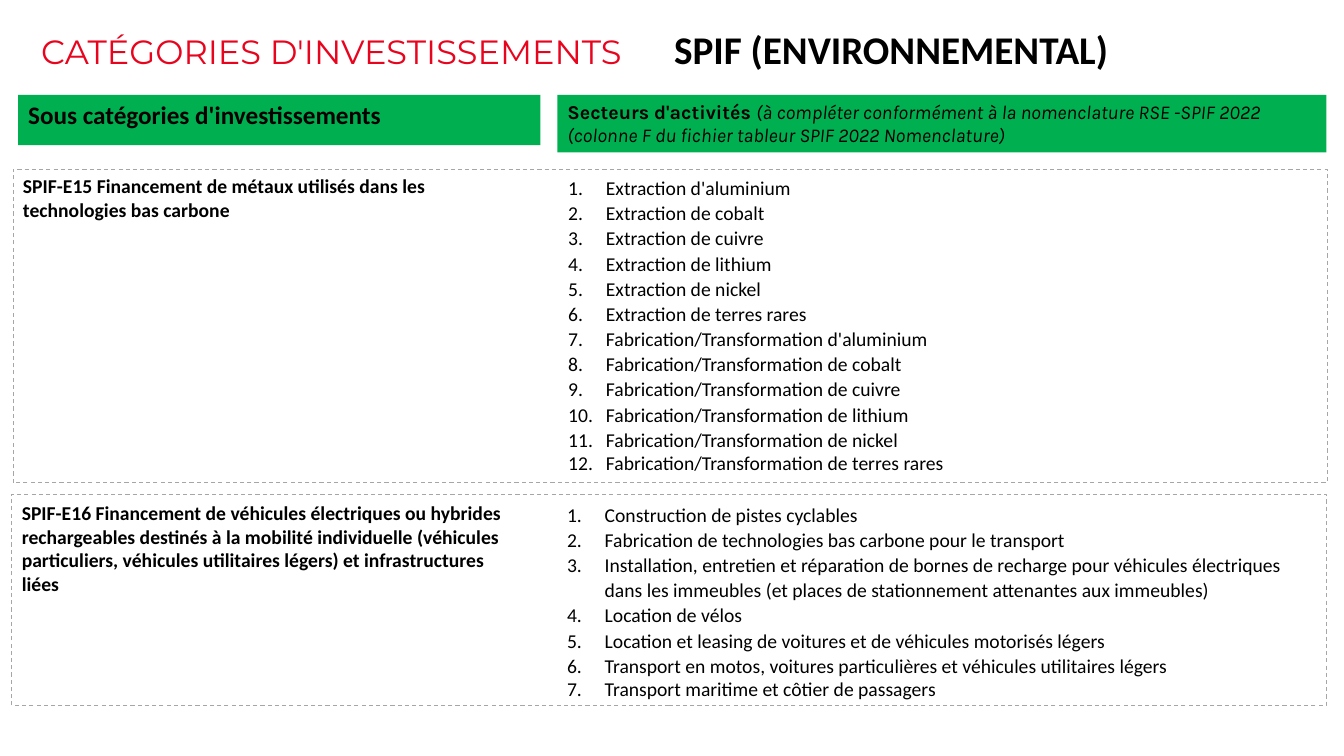
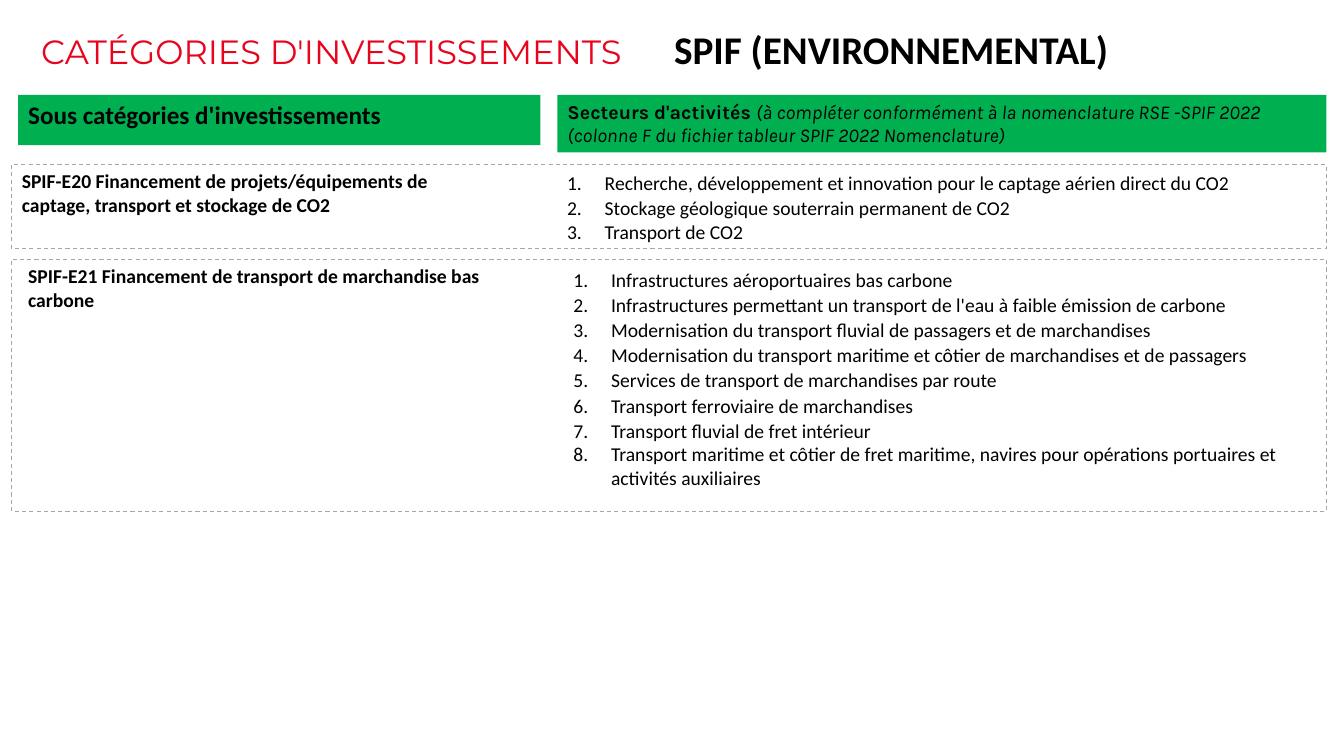
"""Build two slides of investment categories with their business sectors."""
from lxml import etree
from pptx import Presentation
from pptx import util as u
from pptx.dml.color import RGBColor
from pptx.enum import dml, shapes, text
from pptx.oxml import ns

RED = RGBColor(0xE9, 0x04, 0x1E)
GREEN = RGBColor(0x00, 0xB0, 0x50)
GREY = RGBColor(0xA6, 0xA6, 0xA6)
INK = RGBColor(0x01, 0x01, 0x01)
BLACK = RGBColor(0x00, 0x00, 0x00)

TITLE = [
    ("CATÉGORIES D'INVESTISSEMENTS\t", "Montserrat", 24, RED, False, False),
    ("SPIF (ENVIRONNEMENTAL)", "Calibri", 28, BLACK, True, False),
]
BANDS = [
    (0.46, 13.16, 1.27, [
        ("Sous catégories d'investissements", "Calibri", 18, INK, True, False),
    ]),
    (14.05, 19.38, 1.45, [
        ("Secteurs d'activités ", "Karla", 14, INK, True, False),
        ("(à compléter conformément à la nomenclature RSE -SPIF 2022 "
         "(colonne F du fichier tableur SPIF 2022 Nomenclature)",
         "Karla", 14, INK, False, True),
    ]),
]

METALS = ["aluminium", "cobalt", "cuivre", "lithium", "nickel", "terres rares"]
STAGES = ["Extraction", "Fabrication/Transformation"]

# Panel: left, top, height; label: left, top, width; list: top
DECK = [
    [
        ((0.33, 4.27, 7.9), (0.33, 4.27, 13.16), 4.27,
         "SPIF-E15 Financement de métaux utilisés dans les technologies "
         "bas carbone",
         [f"{stage} {'d' + chr(39) if metal[0] == 'a' else 'de '}{metal}"
          for stage in STAGES for metal in METALS]),
        ((0.3, 12.45, 5.33), (0.3, 12.5, 13.16), 12.5,
         "SPIF-E16 Financement de véhicules électriques ou hybrides "
         "rechargeables destinés à la mobilité individuelle (véhicules "
         "particuliers, véhicules utilitaires légers) et infrastructures "
         "liées",
         ["Construction de pistes cyclables",
          "Fabrication de technologies bas carbone pour le transport",
          "Installation, entretien et réparation de bornes de recharge pour "
          "véhicules électriques dans les immeubles (et places de "
          "stationnement attenantes aux immeubles)",
          "Location de vélos",
          "Location et leasing de voitures et de véhicules motorisés légers",
          "Transport en motos, voitures particulières et véhicules "
          "utilitaires légers",
          "Transport maritime et côtier de passagers"]),
    ],
    [
        ((0.3, 4.14, 2.13), (0.3, 4.14, 12.22), 4.14,
         "SPIF-E20 Financement de projets/équipements de captage, transport "
         "et stockage de CO2",
         ["Recherche, développement et innovation pour le captage aérien "
          "direct du CO2",
          "Stockage géologique souterrain permanent de CO2",
          "Transport de CO2"]),
        ((0.3, 6.53, 6.35), (0.46, 6.53, 13.16), 6.58,
         "SPIF-E21 Financement de transport de marchandise bas carbone",
         ["Infrastructures aéroportuaires bas carbone",
          "Infrastructures permettant un transport de l'eau à faible "
          "émission de carbone",
          "Modernisation du transport fluvial de passagers et de "
          "marchandises",
          "Modernisation du transport maritime et côtier de marchandises et "
          "de passagers",
          "Services de transport de marchandises par route",
          "Transport ferroviaire de marchandises",
          "Transport fluvial de fret intérieur",
          "Transport maritime et côtier de fret maritime, navires pour "
          "opérations portuaires et activités auxiliaires"]),
    ],
]


def write(para, parts):
    for words, face, size, tint, bold, slant in parts:
        run = para.add_run()
        run.text = words
        font = run.font
        font.name, font.size = face, u.Pt(size)
        font.bold, font.italic = bold, slant
        font.color.rgb = tint


def place(slide, left, top, wide, high, shown=False):
    area = [u.Cm(size) for size in (left, top, wide, high)]
    if shown:
        box = slide.shapes.add_shape(shapes.MSO_SHAPE.RECTANGLE, *area)
        box.shadow.inherit = False
    else:
        box = slide.shapes.add_textbox(*area)
    frame = box.text_frame
    frame.word_wrap = True
    frame.vertical_anchor = text.MSO_ANCHOR.TOP
    frame.paragraphs[0].alignment = text.PP_ALIGN.LEFT
    return box


deck = Presentation()
deck.slide_width, deck.slide_height = u.Cm(33.87), u.Cm(19.05)

for panels in DECK:
    slide = deck.slides.add_slide(deck.slide_layouts[6])

    frame = place(slide, 1.04, 0.86, 31.65, 0.94).text_frame
    frame.margin_left = frame.margin_right = 0
    frame.margin_top = frame.margin_bottom = 0
    frame.vertical_anchor = text.MSO_ANCHOR.BOTTOM
    para = frame.paragraphs[0]
    para.line_spacing = 0.75
    write(para, TITLE)
    tabs = etree.SubElement(para._p.get_or_add_pPr(), ns.qn("a:tabLst"))
    etree.SubElement(tabs, ns.qn("a:tab"), pos=str(u.Cm(15.95)), algn="l")

    for left, wide, high, parts in BANDS:
        band = place(slide, left, 2.39, wide, high, True)
        band.fill.solid()
        band.fill.fore_color.rgb = GREEN
        band.line.fill.background()
        write(band.text_frame.paragraphs[0], parts)

    for (left, top, high), (start, head, wide), drop, name, items in panels:
        panel = place(slide, left, top, 33.12, high, True)
        panel.fill.background()
        panel.line.color.rgb = GREY
        panel.line.width = u.Pt(0.75)
        panel.line.dash_style = dml.MSO_LINE.DASH

        label = place(slide, start, head, wide, 1.45)
        write(label.text_frame.paragraphs[0],
              [(name, "Calibri", 14, BLACK, True, False)])

        frame = place(slide, start + 13.74, drop, 18.72, high).text_frame
        frame.text = "\n".join(items)
        for para in frame.paragraphs:
            para.line_spacing = 1.07
            para.font.name, para.font.size = "Calibri", u.Pt(14)
            para.runs[0].font.name = "Calibri"
            para.runs[0].font.size = u.Pt(14)
            para.runs[0].font.color.rgb = BLACK
            props = para._p.get_or_add_pPr()
            props.set("marL", str(u.Cm(0.95)))
            props.set("indent", str(-u.Cm(0.95)))
            mark = etree.Element(ns.qn("a:buAutoNum"), type="arabicPeriod")
            props.insert(1, mark)
        frame.paragraphs[-1].line_spacing = 1.0

deck.save("out.pptx")
